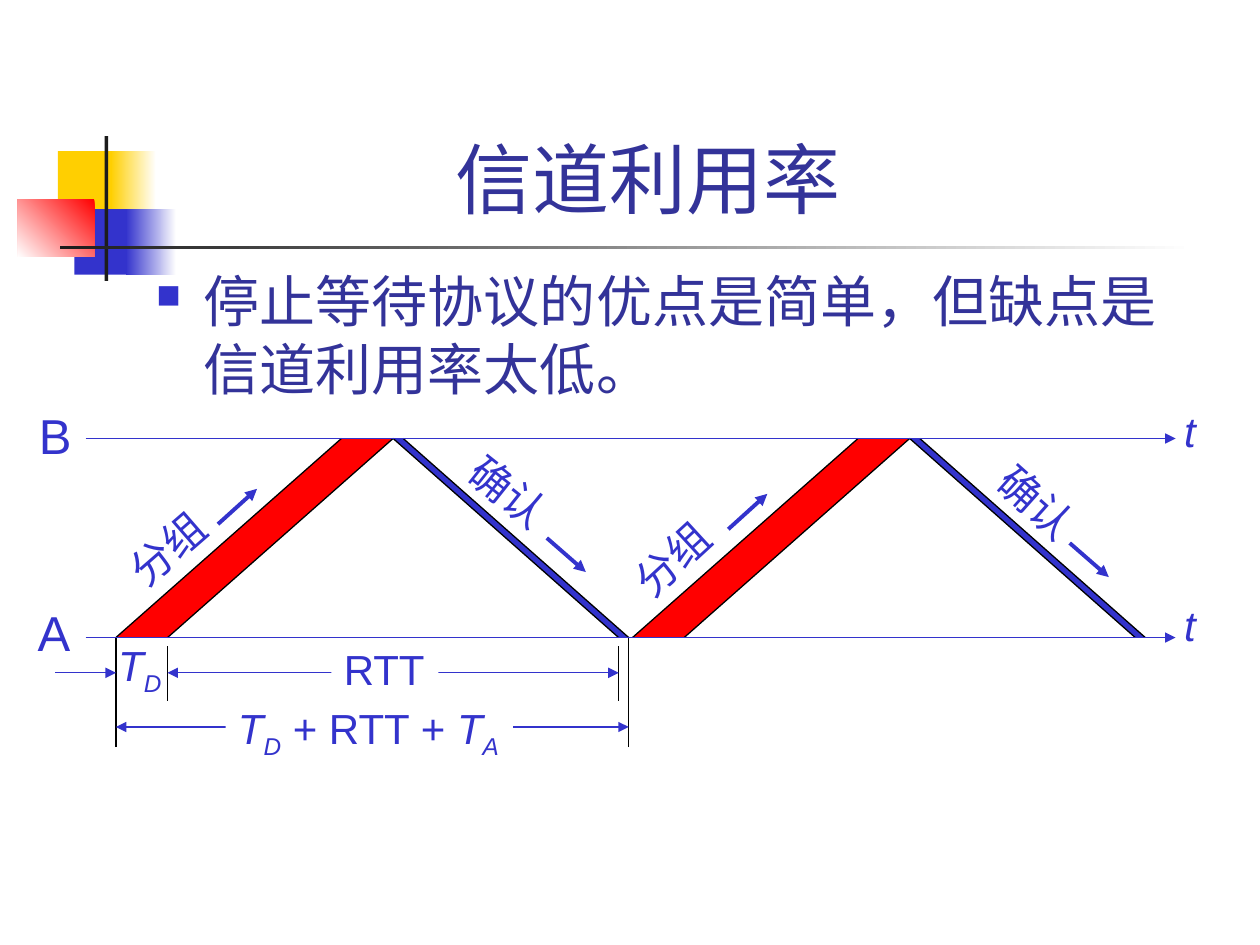
from dataclasses import dataclass

from lxml import etree
from pptx import Presentation
from pptx import util as u
from pptx.dml.color import RGBColor
from pptx.enum import shapes, text
from pptx.oxml import ns


@dataclass(frozen=True)
class Theme:
    """Colours, type sizes and line widths of the slide."""
    font: str = "Arial"
    blue: str = "3333CC"
    navy: str = "333399"
    red: str = "FF0000"
    yellow: str = "FFCF01"
    ink: str = "1C1C1C"
    black: str = "000000"
    white: str = "FFFFFF"
    title: int = 44
    body: int = 32
    host: int = 28
    label: int = 24
    thin: float = 0.75
    thick: float = 2.25


def apply(target, **values):
    """Set each named attribute on the target."""
    for name, value in values.items():
        setattr(target, name, value)


def add_tag(parent, tag, **attributes):
    """Append an XML element with the given attributes."""
    return etree.SubElement(parent, ns.qn(tag), attributes)


class SlideBuilder:
    """Draws styled elements on the current slide."""

    def __init__(self, slide, theme):
        self.shapes = slide.shapes
        self.theme = theme

    def panel(self, left, top, width, height, *colours, angle=180):
        """Add a rectangle filled with one colour or a two-colour gradient."""
        panel = self.shapes.add_shape(
            shapes.MSO_SHAPE.RECTANGLE, *map(u.Inches, (left, top, width, height)))
        panel.shadow.inherit = False
        panel.line.fill.background()
        if len(colours) == 1:
            panel.fill.solid()
            panel.fill.fore_color.rgb = RGBColor.from_string(colours[0])
        else:
            panel.fill.gradient()
            panel.fill.gradient_angle = angle
            for position, (stop, colour) in enumerate(zip(panel.fill.gradient_stops, colours)):
                stop.position = position
                stop.color.rgb = RGBColor.from_string(colour)
        return panel

    def band(self, colour, *points):
        """Add a filled polygon through the points."""
        corners = [(u.Inches(x), u.Inches(y)) for x, y in points]
        builder = self.shapes.build_freeform(*corners[0])
        builder.add_line_segments(corners[1:], close=True)
        band = builder.convert_to_shape()
        band.shadow.inherit = False
        band.fill.solid()
        band.fill.fore_color.rgb = RGBColor.from_string(colour)
        band.line.fill.background()

    def line(self, start, end, colour, width=None, ends=()):
        """Add a straight line with arrowheads at the named ends."""
        line = self.shapes.add_connector(
            shapes.MSO_CONNECTOR.STRAIGHT, *map(u.Inches, (*start, *end)))
        line.line.color.rgb = RGBColor.from_string(colour)
        line.line.width = u.Pt(width or self.theme.thin)
        for end_tag in ends:
            add_tag(line.line._get_or_add_ln(), end_tag, type="triangle")
        add_tag(line._element.spPr, "a:effectLst")

    def arrow(self, start, end, width=None, both=False):
        """Add a blue arrow, pointing both ways on request."""
        ends = ("a:headEnd", "a:tailEnd") if both else ("a:tailEnd",)
        self.line(start, end, self.theme.blue, width, ends)

    def words(self, box, spans, size, colour, **frame_values):
        """Fill a box with (text, style) spans and return its paragraph."""
        apply(box.text_frame, **frame_values)
        para = box.text_frame.paragraphs[0]
        para.alignment = text.PP_ALIGN.LEFT
        for content, style in spans:
            span = para.add_run()
            span.text = content
            apply(span.font, name=self.theme.font, size=u.Pt(size), italic="i" in style)
            span.font.color.rgb = RGBColor.from_string(colour)
            if "sub" in style:
                span.font._element.set("baseline", "-25000")
        return para

    def block(self, left, top, width, height, content, size, anchor):
        """Add a wrapping text box and return its paragraph."""
        box = self.shapes.add_textbox(*map(u.Inches, (left, top, width, height)))
        return self.words(box, [(content, ())], size, self.theme.navy,
                          word_wrap=True, vertical_anchor=anchor)

    def label(self, left, top, width, height, *spans, size=None, turn=0, backed=False):
        """Add a one-line blue label, on a white panel on request."""
        if backed:
            box = self.panel(left, top, width, height, self.theme.white)
        else:
            box = self.shapes.add_textbox(*map(u.Inches, (left, top, width, height)))
        box.rotation = turn
        self.words(box, spans, size or self.theme.label, self.theme.blue,
                   word_wrap=False, vertical_anchor=text.MSO_ANCHOR.TOP,
                   auto_size=text.MSO_AUTO_SIZE.SHAPE_TO_FIT_TEXT)

    def bullet(self, para, indent):
        """Give the paragraph a hanging square bullet."""
        props = para._p.get_or_add_pPr()
        props.set("marL", str(u.Inches(indent)))
        props.set("indent", str(-u.Inches(indent)))
        add_tag(add_tag(props, "a:buClr"), "a:srgbClr", val=self.theme.blue)
        add_tag(props, "a:buSzPct", val="60000")
        add_tag(props, "a:buChar", char="■")


TOP, BOTTOM = 3.48, 5.06
FLIGHT, PACKET, ACK = 1.79, 0.41, 0.08
SENT, PERIOD = 0.92, 4.1
RTT_START = SENT + PACKET
RTT_END = RTT_START + 2 * FLIGHT
CYCLE_END = RTT_END + ACK
RTT_ROW, CYCLE_ROW = 5.34, 5.77
T, D, A = ("T", ("i",)), ("D", ("i", "sub")), ("A", ("i", "sub"))


def draw_ornament(page, theme):
    """Draw the coloured squares and the rules by the title."""
    page.panel(0.46, 1.2, 0.48, 0.52, theme.yellow)
    page.panel(0.88, 1.2, 0.36, 0.52, theme.white, theme.yellow)
    page.panel(0.59, 1.66, 0.46, 0.52, theme.blue)
    page.panel(1, 1.66, 0.4, 0.52, theme.white, theme.blue)
    page.panel(0.14, 1.58, 0.61, 0.46, theme.red, theme.white, angle=225)
    page.panel(0.83, 1.08, 0.03, 1.15, theme.ink)
    page.panel(0.48, 1.95, 9, 0.03, theme.white, theme.ink)


def draw_timings(page, theme):
    """Draw the dimension lines below the sender's axis."""
    for x in (SENT, CYCLE_END):
        page.line((x, 5.93), (x, BOTTOM), theme.black)
    for x in (RTT_START, RTT_END):
        page.line((x, 5.13), (x, 5.56), theme.black)
    page.label(0.84, 5.03, 0.54, 0.56, T, D)
    page.arrow((0.44, RTT_ROW), (SENT, RTT_ROW))
    page.arrow((RTT_START, RTT_ROW), (RTT_END, RTT_ROW), both=True)
    page.label(2.63, 5.06, 0.85, 0.5, ("RTT", ()), backed=True)
    page.arrow((SENT, CYCLE_ROW), (CYCLE_END, CYCLE_ROW), both=True)
    page.label(1.79, 5.53, 2.28, 0.56, T, D, (" + RTT + ", ()), T, A, backed=True)


def draw_cycle(page, theme, sent):
    """Draw one packet and its acknowledgement."""
    arrived = sent + FLIGHT
    answered = arrived + PACKET
    returned = answered + FLIGHT
    page.band(theme.blue, (answered, TOP), (returned, BOTTOM),
              (returned + ACK, BOTTOM), (answered + ACK, TOP))
    page.band(theme.red, (sent, BOTTOM), (arrived, TOP),
              (answered, TOP), (sent + PACKET, BOTTOM))
    for low, high in ((sent, arrived), (sent + PACKET, answered),
                      (returned, answered), (returned + ACK, answered + ACK)):
        page.line((low, BOTTOM), (high, TOP), theme.black)


def main():
    """Build the slide and save it."""
    theme = Theme()
    deck = Presentation()
    apply(deck, slide_width=u.Inches(10), slide_height=u.Inches(7.5))
    page = SlideBuilder(deck.slides.add_slide(deck.slide_layouts[6]), theme)

    draw_ornament(page, theme)
    title = page.block(1.26, 0.23, 7.91, 1.6, "信道利用率 ", theme.title, text.MSO_ANCHOR.BOTTOM)
    title.alignment = text.PP_ALIGN.CENTER
    body = page.block(1.14, 2.07, 8.5, 1.34, "停止等待协议的优点是简单，但缺点是信道利用率太低。",
                      theme.body, text.MSO_ANCHOR.TOP)
    body.space_before = u.Pt(8)
    page.bullet(body, 0.38)

    draw_timings(page, theme)
    for cycle in range(2):
        draw_cycle(page, theme, SENT + cycle * PERIOD)
    for left, top, turn, word in ((0.89, 4.09, 318.9, "分组"), (3.6, 3.66, 38.5, "确认"),
                                  (4.9, 4.17, 317.4, "分组"), (7.79, 3.75, 41.8, "确认")):
        page.label(left, top, 0.9, 0.5, (word, ()), turn=turn)
    for x, y, rise in ((1.73, 4.16, -0.28), (4.34, 4.27, 0.27),
                       (5.78, 4.2, -0.28), (8.49, 4.31, 0.27)):
        page.arrow((x, y), (x + 0.31, y + rise), theme.thick)
    for host, left, host_top, time_top, axis in (("B", 0.21, 3.17, 3.17, TOP),
                                                 ("A", 0.2, 4.73, 4.71, BOTTOM)):
        page.label(left, host_top, 0.46, 0.57, (host, ()), size=theme.host)
        page.label(9.3, time_top, 0.29, 0.5, ("t", ("i",)))
        page.arrow((0.68, axis), (9.33, axis))
    deck.save("out.pptx")


if __name__ == "__main__":
    main()
